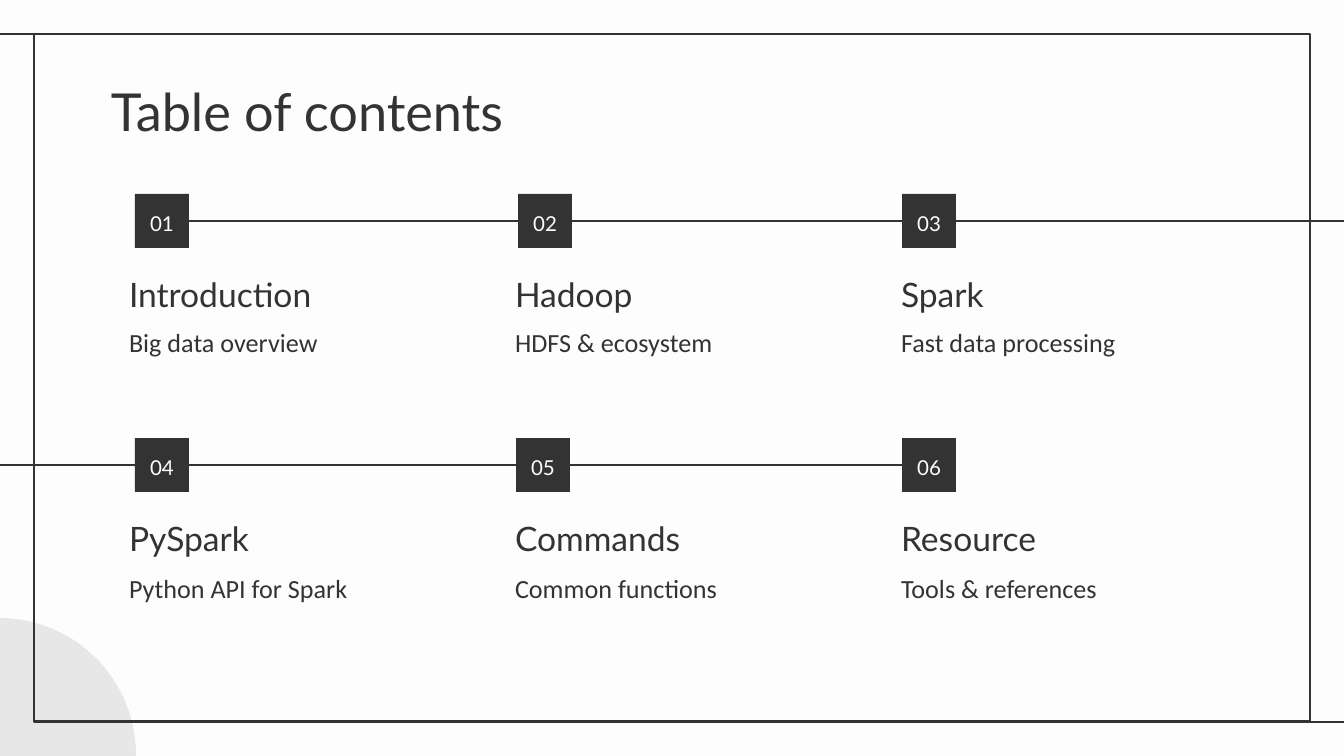
from pptx import Presentation
from pptx.dml.color import RGBColor
from pptx.enum.shapes import MSO_CONNECTOR as Link, MSO_SHAPE as Kind
from pptx.enum.text import MSO_ANCHOR as Anchor, PP_ALIGN as Align
from pptx.oxml.ns import qn
from pptx.util import Pt
from lxml.etree import SubElement

PX = 914400 / 134.4
DARK, PALE, GREY = "333333", "FDFDFD", "E8E7E7"


def paint(color, code):
    color.rgb = RGBColor.from_string(code)


def write(shape, text, font, size, code=DARK, anchor=Anchor.TOP, align=Align.LEFT, space=1.15):
    frame = shape.text_frame
    frame.word_wrap = True
    frame.vertical_anchor = anchor
    frame.margin_left = frame.margin_right = round(13 * PX)
    frame.margin_top = frame.margin_bottom = round(13 * PX)
    frame.text = text
    para = frame.paragraphs[0]
    para.alignment = align
    para.line_spacing = space
    run = para.runs[0]
    run.font.name = font
    run.font.size = Pt(size)
    paint(run.font.color, code)


deck = Presentation()
deck.slide_width, deck.slide_height = round(1344 * PX), round(756 * PX)
slide = deck.slides.add_slide(deck.slide_layouts[6])
slide.background.fill.solid()
paint(slide.background.fill.fore_color, PALE)
shapes = slide.shapes

disc = shapes.add_shape(Kind.OVAL, *[round(n * PX) for n in (-138, 618, 274, 274)])
disc.shadow.inherit = False
disc.fill.solid()
paint(disc.fill.fore_color, GREY)
disc.line.fill.background()

border = shapes.add_shape(Kind.RECTANGLE, *[round(n * PX) for n in (34, 34, 1276, 688)])
border.shadow.inherit = False
border.fill.background()
paint(border.line.color, DARK)
border.line.width = Pt(1.5)

lines = []
for ends in [(34, 34, -3, 34), (1348, 722, 1310, 722), (189, 221, 1367, 221), (902, 465, -24, 465)]:
    line = shapes.add_connector(Link.STRAIGHT, *[round(n * PX) for n in ends])
    paint(line.line.color, DARK)
    line.line.width = Pt(1.5)
    SubElement(line._element.spPr, qn("a:effectLst"))
    lines.append(line)

title = shapes.add_textbox(*[round(n * PX) for n in (98, 66, 1133, 85)])
write(title, "Table of contents", "Lato", 28, space=1)

rows = [
    (194, 271, 309, (135, 518, 902), [
        ("Introduction", "Big data overview"),
        ("Hadoop", "HDFS & ecosystem"),
        ("Spark", "Fast data processing"),
    ]),
    (438, 515, 555, (135, 516, 902), [
        ("PySpark", "Python API for Spark"),
        ("Commands", "Common functions"),
        ("Resource", "Tools & references"),
    ]),
]
boxes = []
for top, head, sub, lefts, items in rows:
    for col, (name, note) in enumerate(items):
        box = shapes.add_shape(Kind.RECTANGLE, *[round(n * PX) for n in (lefts[col], top, 54, 54)])
        box.shadow.inherit = False
        box.fill.solid()
        paint(box.fill.fore_color, DARK)
        box.line.fill.background()
        boxes.append(box)
        write(box, f"{len(boxes):02}", "Lato", 11, PALE, Anchor.MIDDLE, Align.CENTER)

        left = 116 + 386 * col
        label = shapes.add_textbox(*[round(n * PX) for n in (left, head, 339, 56)])
        write(label, name, "Lato", 18, anchor=Anchor.BOTTOM)
        text = shapes.add_textbox(*[round(n * PX) for n in (left, sub, 339, 85)])
        write(text, note, "Calibri", 14)

lines[2].begin_connect(boxes[0], 3)
lines[3].begin_connect(boxes[5], 1)

deck.save("out.pptx")
